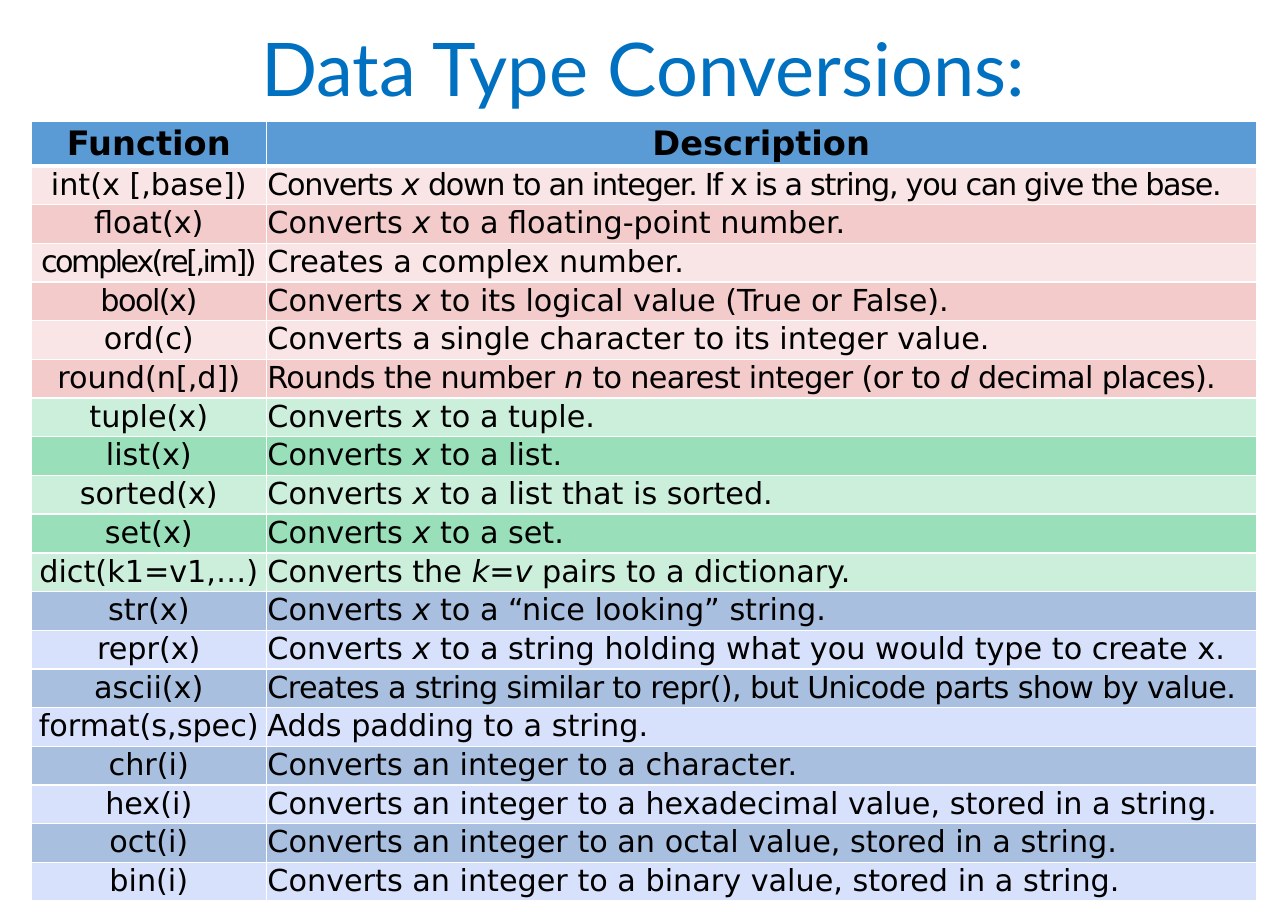
from pptx import Presentation
from pptx.dml.color import RGBColor
from pptx.enum.text import MSO_ANCHOR as Anchor, MSO_AUTO_SIZE as AutoSize, PP_ALIGN as Align
from pptx.oxml import parse_xml
from pptx.oxml.ns import nsdecls
from pptx.util import Inches, Pt

# Row groups: two alternating fills, then (function, description) pairs.
# Text between asterisks is italic.
NUMBERS = ("F9E5E5", "F3CBCB"), [
    ("int(x [,base])", "Converts *x *down to an integer. If x is a string, you can give the base."),
    ("float(x)", "Converts *x* to a floating-point number."),
    ("complex(re[,im])", "Creates a complex number."),
    ("bool(x)", "Converts *x *to its logical value (True or False)."),
    ("ord(c)", "Converts a single character to its integer value."),
    ("round(n[,d])", "Rounds the number *n* to nearest integer (or to *d* decimal places)."),
]
COLLECTIONS = ("CCEFDC", "99DFB9"), [
    ("tuple(x)", "Converts *x *to a tuple."),
    ("list(x)", "Converts *x *to a list."),
    ("sorted(x)", "Converts *x *to a list that is sorted."),
    ("set(x)", "Converts *x *to a set."),
    ("dict(k1=v1,…)", "Converts the *k=v* pairs to a dictionary."),
]
STRINGS = ("A8BFE0", "D8E1FC"), [
    ("str(x)", "Converts *x* to a “nice looking” string."),
    ("repr(x)", "Converts *x* to a string holding what you would type to create x."),
    ("ascii(x)", "Creates a string similar to repr(), but Unicode parts show by value."),
    ("format(s,spec)", "Adds padding to a string."),
    ("chr(i)", "Converts an integer to a character."),
    ("hex(i)", "Converts an integer to a hexadecimal value, stored in a string."),
    ("oct(i)", "Converts an integer to an octal value, stored in a string."),
    ("bin(i)", "Converts an integer to a binary value, stored in a string."),
]

# Character spacing in points for (function, description) of the tight rows
SPACING = {
    "int(x [,base])": (0, -0.8),
    "complex(re[,im])": (-1.5, 0),
    "bool(x)": (-0.9, 0),
    "round(n[,d])": (0, -0.4),
    "ascii(x)": (0, -0.4),
}


def color(hex_value):
    return RGBColor.from_string(hex_value)


def apply(target, values):
    for name, value in values.items():
        setattr(target, name, value)


class ConversionSlide:
    TITLE = {"name": "Lato", "size": Pt(44), "bold": False}
    HEADER = {"name": "DejaVu Sans", "size": Pt(20), "bold": True}
    BODY = {"name": "DejaVu Sans", "size": Pt(18), "bold": False}
    CELL = {"margin_left": Inches(0.01), "margin_right": Inches(0.01),
            "margin_top": Inches(0.01), "margin_bottom": 0}

    def __init__(self, deck):
        self.slide = deck.slides.add_slide(deck.slide_layouts[5])

    def title(self, text, left, top, width, height):
        title = self.slide.shapes.title
        apply(title, {"left": Inches(left), "top": Inches(top),
                      "width": Inches(width), "height": Inches(height)})
        apply(title.text_frame, {"text": text, "word_wrap": True, "auto_size": AutoSize.NONE,
                                 "vertical_anchor": Anchor.MIDDLE})
        heading = title.text_frame.paragraphs[0]
        apply(heading, {"alignment": Align.CENTER, "line_spacing": 0.9})
        self.style(heading.runs[0], self.TITLE, "0070C0")

    def style(self, run, values, hex_value="000000", spacing=0):
        apply(run.font, values)
        run.font.color.rgb = color(hex_value)
        if spacing:
            run._r.get_or_add_rPr().set("spc", str(round(spacing * 100)))

    def table(self, left, top, columns, heights):
        frame = self.slide.shapes.add_table(
            len(heights), len(columns), Inches(left), Inches(top),
            Inches(sum(columns)), Inches(sum(heights)))
        for column, width in zip(frame.table.columns, columns):
            column.width = Inches(width)
        for row, height in zip(frame.table.rows, heights):
            row.height = Inches(height)
        return frame.table

    def cell(self, cell, text, fill, font, alignment, anchor=Anchor.TOP, spacing=0, bottom=1):
        apply(cell, {**self.CELL, "vertical_anchor": anchor})
        cell.fill.solid()
        cell.fill.fore_color.rgb = color(fill)
        self.borders(cell, bottom)
        paragraph = cell.text_frame.paragraphs[0]
        paragraph.alignment = alignment
        for index, part in enumerate(text.split("*")):
            if part:
                run = paragraph.add_run()
                run.text = part
                self.style(run, {**font, "italic": index % 2 == 1}, spacing=spacing)

    def borders(self, cell, bottom):
        properties = cell._tc.get_or_add_tcPr()
        for index, (side, width) in enumerate({"L": 1, "R": 1, "T": 1, "B": bottom}.items()):
            properties.insert(index, parse_xml(
                f'<a:ln{side} {nsdecls("a")} w="{Pt(width)}"><a:solidFill>'
                f'<a:srgbClr val="FFFFFF"/></a:solidFill></a:ln{side}>'))


def main():
    deck = Presentation()
    apply(deck, {"slide_width": Inches(10.64), "slide_height": Inches(7.5)})
    page = ConversionSlide(deck)

    # Title
    page.title("Data Type Conversions:", 0.94, 0.12, 8.75, 0.96)

    # Table with its header row
    rows = [(fills[index % 2], pair)
            for fills, pairs in (NUMBERS, COLLECTIONS, STRINGS)
            for index, pair in enumerate(pairs)]
    table = page.table(0.26, 1, [1.94, 8.18], [0.37] + [0.32] * len(rows))
    for column, heading in enumerate(("Function", "Description")):
        page.cell(table.cell(0, column), heading, "5B9BD5", page.HEADER, Align.CENTER,
                  anchor=Anchor.MIDDLE, bottom=3)

    # Conversion rows
    for row, (fill, pair) in enumerate(rows, start=1):
        spacings = SPACING.get(pair[0], (0, 0))
        for column, alignment in enumerate((Align.CENTER, Align.JUSTIFY)):
            page.cell(table.cell(row, column), pair[column], fill, page.BODY, alignment,
                      spacing=spacings[column])

    deck.save("out.pptx")


if __name__ == "__main__":
    main()
